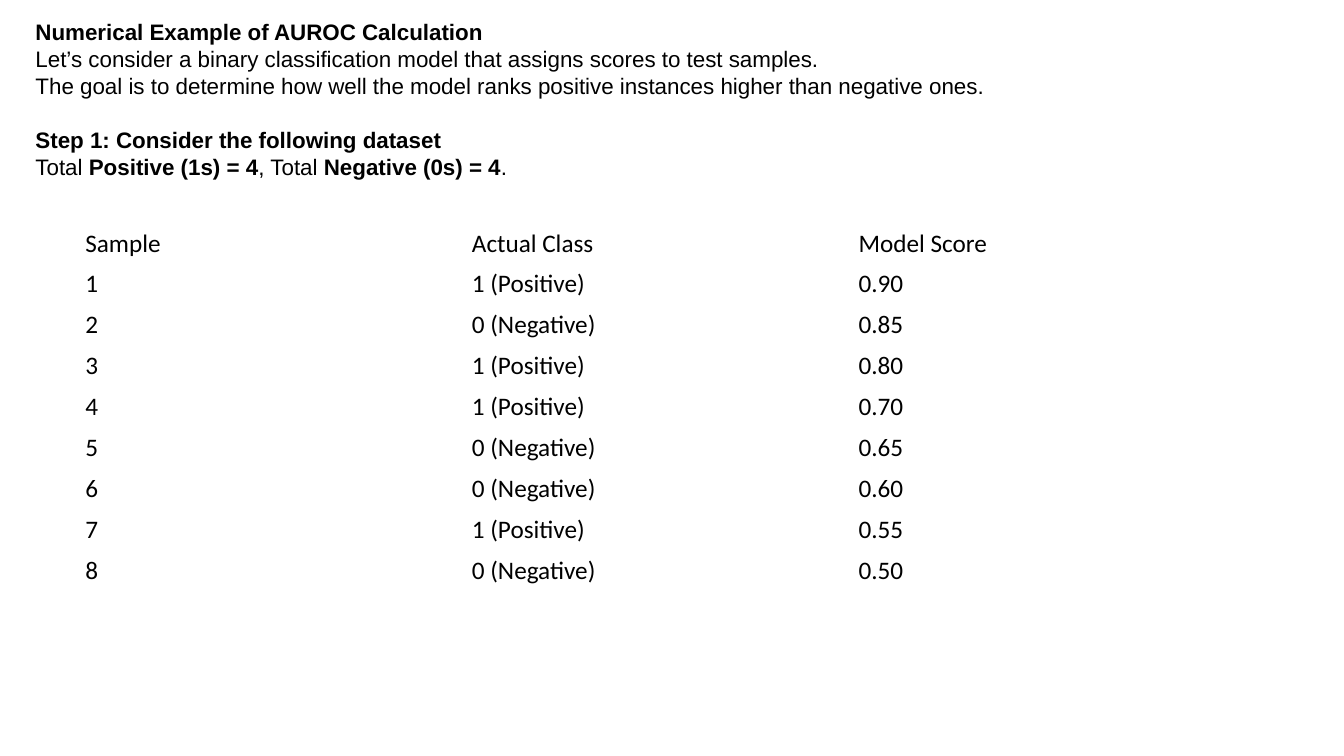
from dataclasses import dataclass
from pptx import Presentation
from pptx.dml.color import RGBColor
from pptx.enum.text import MSO_ANCHOR
from pptx.util import Inches, Pt


@dataclass(frozen=True)
class Theme:
    ink: RGBColor = RGBColor(0, 0, 0)
    prose: str = "Arial"
    grid: str = "Calibri"
    body: int = 16
    cell: int = 18
    lead: float = 19.2


THEME = Theme()
WIDE, HIGH = 13.33, 7.5

INTRO = [
    [("Numerical Example of AUROC Calculation", True)],
    [("Let’s consider a binary classification model that assigns scores to test samples.", False)],
    [("The goal is to determine how well the model ranks positive instances higher than negative ones.", False)],
    [("Step 1: Consider the following dataset", True)],
    [("Total ", False), ("Positive (1s) = 4", True), (", Total ", False),
     ("Negative (0s) = 4", True), (".", False)],
]
STEP = 3
HEAD = ("Sample", "Actual Class", "Model Score")
CLASS = {1: "1 (Positive)", 0: "0 (Negative)"}
DATA = [(1, "0.90"), (0, "0.85"), (1, "0.80"), (1, "0.70"),
        (0, "0.65"), (0, "0.60"), (1, "0.55"), (0, "0.50")]


def share(left, top, width, height):
    return [Inches(part * side) for part, side in
            zip((left, top, width, height), (WIDE, HIGH, WIDE, HIGH))]


def style(font, **form):
    for key, value in form.items():
        setattr(font, key, value)
    font.color.rgb = THEME.ink


def add_intro(slide, box):
    frame = slide.shapes.add_textbox(*box).text_frame
    frame.word_wrap = True
    frame.vertical_anchor = MSO_ANCHOR.MIDDLE
    for index, line in enumerate(INTRO):
        para = frame.add_paragraph() if index else frame.paragraphs[0]
        para.line_spacing = Pt(THEME.lead)
        if index == STEP:
            para.space_before = Pt(THEME.lead)
        for text, bold in line:
            run = para.add_run()
            run.text = text
            style(run.font, name=THEME.prose, size=Pt(THEME.body), bold=bold)


def add_scores(slide, box):
    rows = [HEAD] + [(str(number), CLASS[label], score)
                     for number, (label, score) in enumerate(DATA, 1)]
    table = slide.shapes.add_table(len(rows), len(HEAD), *box).table
    for flag in ("first_row", "horz_banding"):
        setattr(table, flag, False)
    for row, texts in enumerate(rows):
        for col, text in enumerate(texts):
            cell = table.cell(row, col)
            cell.fill.background()
            cell.vertical_anchor = MSO_ANCHOR.MIDDLE
            para = cell.text_frame.paragraphs[0]
            run = para.add_run()
            run.text = text
            style(run.font, name=THEME.grid, size=Pt(THEME.cell), bold=False)
    style_id = table._tbl.tblPr.find(
        "{http://schemas.openxmlformats.org/drawingml/2006/main}tableStyleId")
    style_id.text = "{2D5ABB26-0587-4C30-8999-92F81FD0307C}"


def main():
    deck = Presentation()
    deck.slide_width, deck.slide_height = Inches(WIDE), Inches(HIGH)
    slide = deck.slides.add_slide(deck.slide_layouts[6])
    add_scores(slide, share(0.056, 0.295, 0.863, 0.48))
    add_intro(slide, share(0.019, 0.016, 0.963, 0.23))
    deck.save("out.pptx")


if __name__ == "__main__":
    main()
